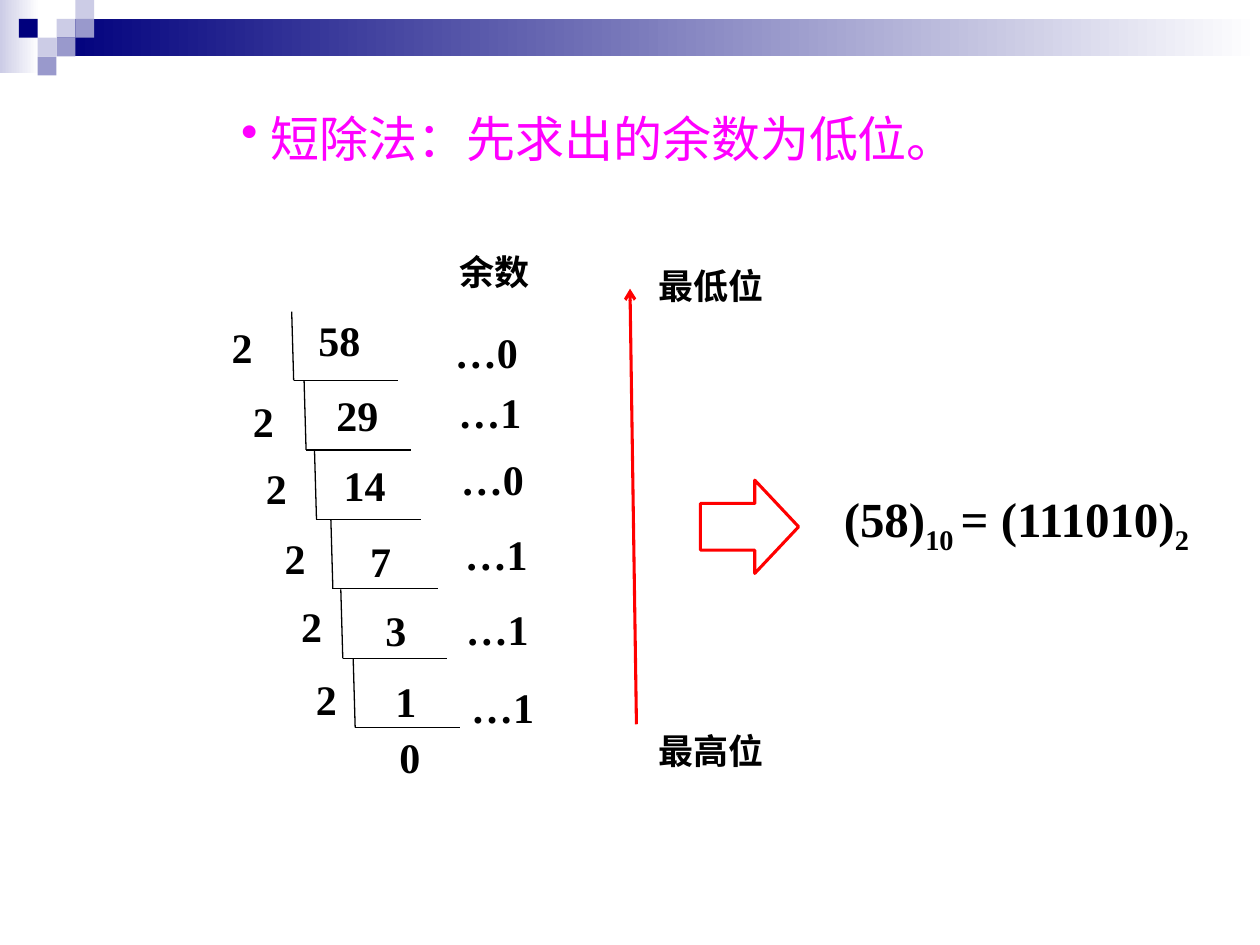
from typing import NamedTuple

from lxml.etree import SubElement
from pptx import Presentation
from pptx.dml.color import RGBColor
from pptx.enum.shapes import MSO_CONNECTOR, MSO_SHAPE
from pptx.enum.text import PP_ALIGN
from pptx.oxml.ns import qn
from pptx.util import Cm, Pt

BLACK = RGBColor(0, 0, 0)
WHITE = RGBColor(255, 255, 255)
RED = RGBColor(255, 0, 0)
PINK = RGBColor(255, 0, 255)
NAVY = RGBColor(0, 0, 0x7D)
PALE = RGBColor(0xCC, 0xCC, 0xE6)
LILAC = RGBColor(0x99, 0x99, 0xCC)
FONT = "Times New Roman"
SIDE = 0.38  # side of a corner square
PITCH = 1.4  # height of a division step


class Point(NamedTuple):
    x: float
    y: float


class Square(NamedTuple):
    col: int
    row: int
    color: RGBColor


class Step(NamedTuple):
    base: Point  # divisor
    num: Point  # dividend
    rest: Point  # remainder
    edge: float  # left end of the rule


SQUARES = [
    Square(3, 1, PALE), Square(4, 0, PALE), Square(4, 1, LILAC),
    Square(2, 2, PALE), Square(1, 1, NAVY), Square(3, 2, LILAC),
    Square(2, 3, LILAC),
]
STEPS = [
    Step(Point(4.42, 6.35), Point(6.17, 6.22), Point(8.92, 6.45), 5.92),
    Step(Point(4.85, 7.85), Point(6.53, 7.72), Point(8.99, 7.67), 6.17),
    Step(Point(5.11, 9.19), Point(6.68, 9.14), Point(9.04, 9.02), 6.38),
    Step(Point(5.49, 10.62), Point(7.21, 10.67), Point(9.12, 10.52), 6.71),
    Step(Point(5.82, 11.99), Point(7.52, 12.07), Point(9.14, 12.04), 6.91),
    Step(Point(6.12, 13.46), Point(7.72, 13.49), Point(9.25, 13.61), 7.16),
]

deck = Presentation()
deck.slide_width, deck.slide_height = Cm(25.4), Cm(19.05)
slide = deck.slides.add_slide(deck.slide_layouts[6])
shapes = slide.shapes


def add_rect(x: float, y: float, w: float, h: float, color: RGBColor,
             fade: bool = False) -> None:
    rect = shapes.add_shape(MSO_SHAPE.RECTANGLE, Cm(x), Cm(y), Cm(w), Cm(h))
    rect.shadow.inherit = False
    rect.line.fill.background()
    if fade:
        rect.fill.gradient()
        rect.fill.gradient_angle = 0
        for stop, tone in zip(rect.fill.gradient_stops, (color, WHITE)):
            stop.color.rgb = tone
    else:
        rect.fill.solid()
        rect.fill.fore_color.rgb = color


def add_line(start: Point, end: Point, color: RGBColor = BLACK,
             width: float = 0.75, arrow: bool = False) -> None:
    line = shapes.add_connector(MSO_CONNECTOR.STRAIGHT, Cm(start.x),
                                Cm(start.y), Cm(end.x), Cm(end.y))
    line.line.color.rgb = color
    line.line.width = Pt(width)
    if arrow:
        SubElement(line.line._get_or_add_ln(), qn("a:tailEnd"), type="arrow")
    SubElement(line._element.spPr, qn("a:effectLst"))


def add_text(text: str, spot: Point, w: float, size: int = 24,
             color: RGBColor = BLACK, bold: bool = True,
             bullet: bool = False):
    box = shapes.add_textbox(Cm(spot.x), Cm(spot.y), Cm(w),
                             Pt(size * 1.2) + Cm(0.25))
    box.text_frame.word_wrap = True
    par = box.text_frame.paragraphs[0]
    if text:
        par.add_run().text = text
    if bullet:
        par.alignment = PP_ALIGN.CENTER
        SubElement(par._p.get_or_add_pPr(), qn("a:buChar"), char="•")
    par.font.name = FONT
    par.font.size = Pt(size)
    par.font.bold = bold
    par.font.color.rgb = color
    return par


# Header band and corner squares
add_rect(0, 0, 0.79, 1.47, PALE, fade=True)
add_rect(1.14, SIDE, 24.26, 0.76, NAVY, fade=True)
for sq in SQUARES:
    add_rect(sq.col * SIDE, sq.row * SIDE, SIDE, SIDE, sq.color)

# Title
add_text("短除法：先求出的余数为低位。", Point(1.14, 2.06), 22.1, 28,
         PINK, bold=False, bullet=True)

# Short division by two
value = 58
for i, step in enumerate(STEPS):
    low = 7.67 + i * PITCH
    foot = Point(step.edge, low)
    add_line(foot, Point(step.edge + 2.11, low))
    add_line(foot, Point(step.edge - 0.04, low - 1.39))
    add_text("2", step.base, 1.32)
    add_text(str(value), step.num, 1.7)
    value, rest = divmod(value, 2)
    add_text(f"…{rest}", step.rest, 2.11)
add_text(str(value), Point(7.8, 14.63), 1.3)

# Reading order of the remainders
add_text("余数", Point(9.02, 4.93), 2.11, 20)
add_text("最低位", Point(13.03, 5.21), 2.72, 20)
add_text("最高位", Point(13.03, 14.58), 2.72, 20)
add_line(Point(12.83, 14.6), Point(12.7, 5.82), RED, 1.75, arrow=True)

# Result
arrow = shapes.add_shape(MSO_SHAPE.RIGHT_ARROW, Cm(14.12), Cm(9.68),
                         Cm(1.98), Cm(1.88))
arrow.adjustments[0], arrow.adjustments[1] = 0.5, 0.47
arrow.shadow.inherit = False
arrow.fill.background()
arrow.line.color.rgb = RED
arrow.line.width = Pt(1.75)

sum_par = add_text("", Point(16.76, 9.73), 7.72, 28)
for part, sub in [("(58)", False), ("10 ", True),
                  ("= (111010)", False), ("2", True)]:
    run = sum_par.add_run()
    run.text = part
    if sub:
        run.font._element.set("baseline", "-25000")

deck.save("out.pptx")
